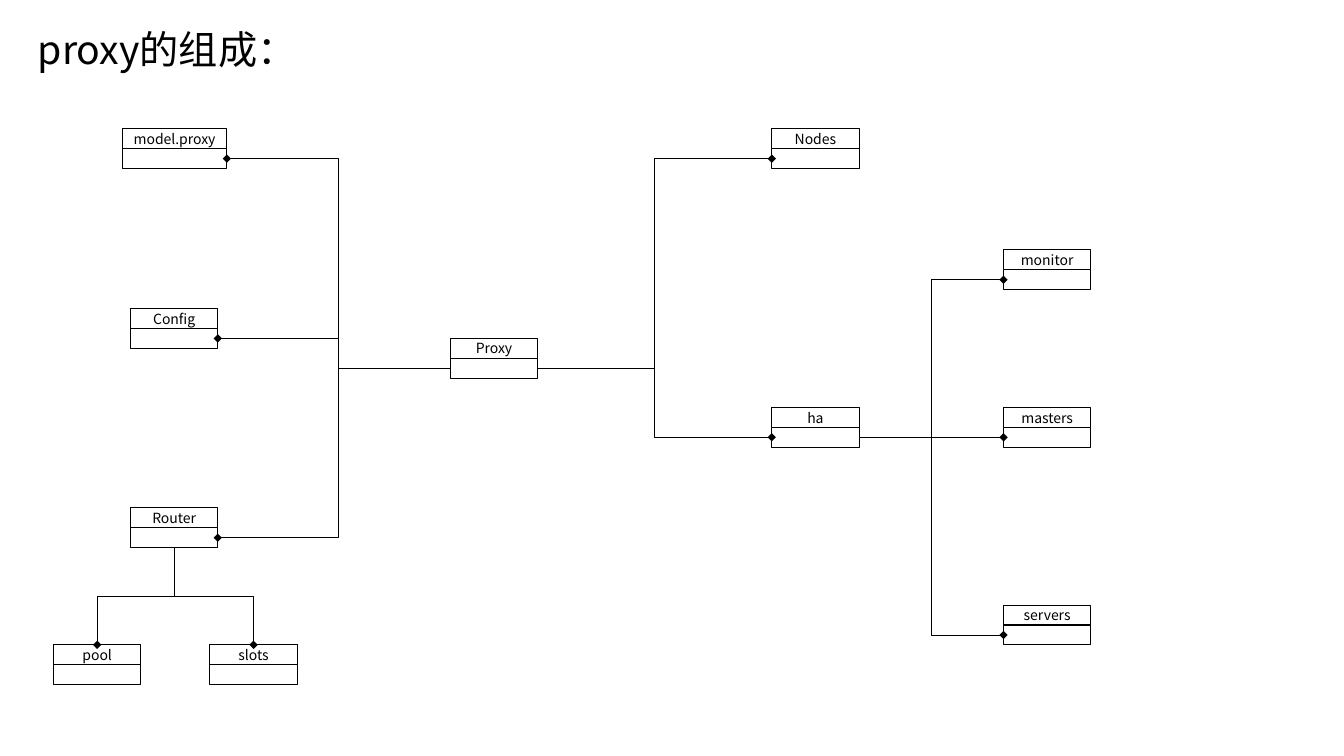
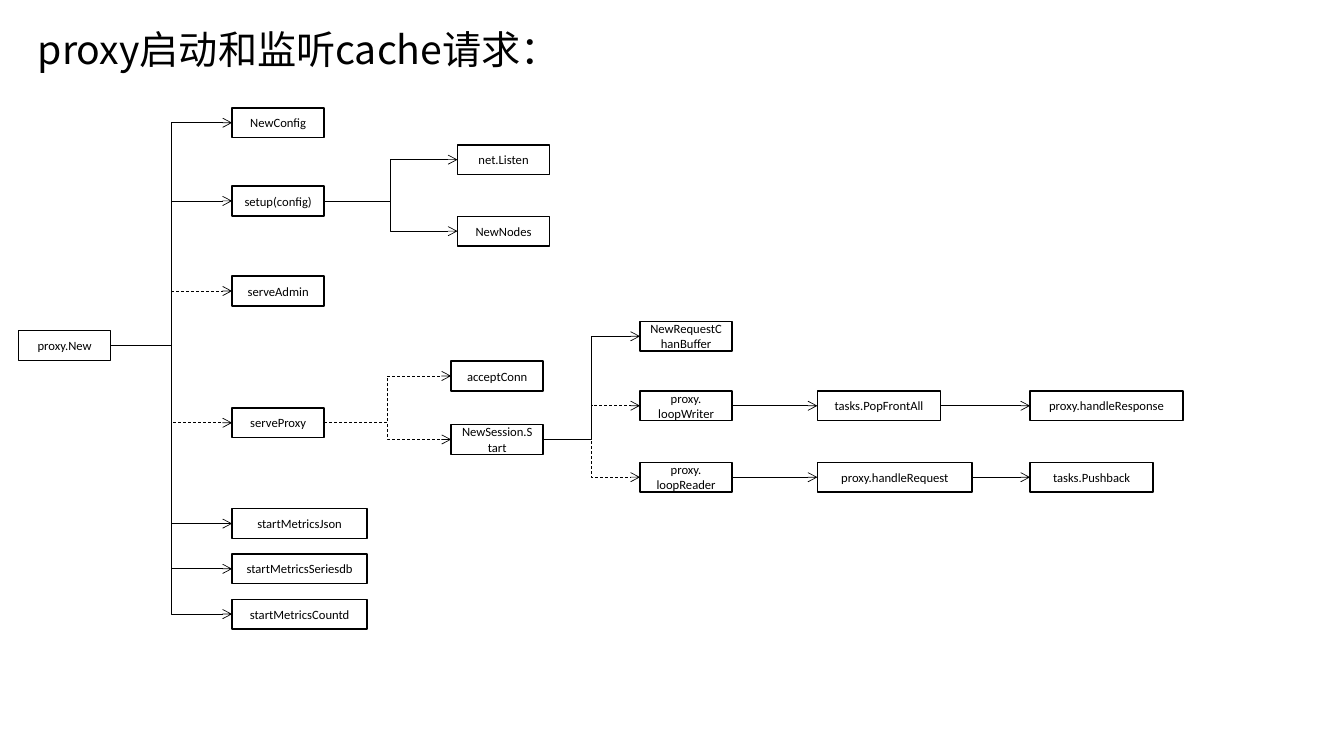
from pptx import Presentation
from pptx.dml.color import RGBColor
from pptx.enum.dml import MSO_LINE
from pptx.enum.shapes import MSO_CONNECTOR, MSO_SHAPE
from pptx.enum.text import MSO_ANCHOR, PP_ALIGN
from pptx.oxml.ns import qn
from pptx.util import Cm, Pt
from lxml.etree import SubElement

BLACK, WHITE = "000000", "FFFFFF"
CJK_FONT, LATIN_FONT = "Noto Sans CJK JP", "Calibri"
TOP, LEFT, BOTTOM, RIGHT = range(4)  # connection sites of a rectangle
ROW_HEIGHT, CLASS_WIDTH = 0.5, 2.2
STEP_HEIGHT, STEP_WIDTH = 0.75, 2.32


def color(value):
    return RGBColor.from_string(value)


def format_paragraph(para, font_name, size, alignment):
    para.alignment = alignment
    para.font.size = Pt(size)
    para.font.color.rgb = color(BLACK)
    para.font.name = font_name
    defaults = para._p.get_or_add_pPr().get_or_add_defRPr()
    SubElement(defaults, qn("a:ea")).set("typeface", font_name)


def add_page(deck, title, title_width):
    page = deck.slides.add_slide(deck.slide_layouts[5])
    box = page.shapes.title
    box.left, box.top, box.width, box.height = Cm(0.7), Cm(0.5), Cm(title_width), Cm(1.45)
    frame = box.text_frame
    frame.text = title
    frame.word_wrap = True
    frame.vertical_anchor = MSO_ANCHOR.TOP
    para = frame.paragraphs[0]
    para.line_spacing = 1
    format_paragraph(para, CJK_FONT, 28, PP_ALIGN.LEFT)
    return page


def add_box(shapes, left, top, width, height, line_width, text="", font_name=CJK_FONT, size=10):
    box = shapes.add_shape(MSO_SHAPE.RECTANGLE, Cm(left), Cm(top), Cm(width), Cm(height))
    box.shadow.inherit = False
    box.fill.solid()
    box.fill.fore_color.rgb = color(WHITE)
    box.line.color.rgb = color(BLACK)
    box.line.width = Pt(line_width)
    frame = box.text_frame
    frame.word_wrap = True
    frame.margin_top = frame.margin_bottom = 0
    frame.vertical_anchor = MSO_ANCHOR.MIDDLE
    if text:
        frame.text = text
        for para in frame.paragraphs:
            format_paragraph(para, font_name, size, PP_ALIGN.CENTER)
    return box


def turn_downward(link):
    """Make an elbow leave and arrive vertically."""
    goes_right = link.end_x > link.begin_x
    center_x, center_y = link.left + link.width // 2, link.top + link.height // 2
    width, height = link.height, link.width
    link.left, link.top = center_x - width // 2, center_y - height // 2
    link.width, link.height = width, height
    frame = link._element.spPr.find(qn("a:xfrm"))
    frame.attrib.pop("flipH", None)
    frame.set("rot", "16200000" if goes_right else "5400000")
    if goes_right:
        frame.set("flipH", "1")


def join(page, start, start_site, end, end_site, tip, dashed=False, bend=0.5):
    level = start.top + start.height // 2 == end.top + end.height // 2
    kind = MSO_CONNECTOR.STRAIGHT if level else MSO_CONNECTOR.ELBOW
    link = page.shapes.add_connector(kind, 0, 0, 0, 0)
    link.begin_connect(start, start_site)
    link.end_connect(end, end_site)
    if start_site == BOTTOM:
        turn_downward(link)
    properties = link._element.spPr
    if bend != 0.5:
        guide = SubElement(properties.find(qn("a:prstGeom")).find(qn("a:avLst")), qn("a:gd"))
        guide.set("name", "adj1")
        guide.set("fmla", f"val {round(bend * 100000)}")
    link.line.color.rgb = color(BLACK)
    link.line.width = Pt(0.5)
    if dashed:
        link.line.dash_style = MSO_LINE.DASH
    SubElement(properties.find(qn("a:ln")), qn("a:tailEnd")).set("type", tip)
    SubElement(properties, qn("a:effectLst"))


def add_class(page, name, left, top, width):
    """Class symbol: a name row above an empty body row."""
    group = page.shapes.add_group_shape()
    head = add_box(group.shapes, left, top, width, ROW_HEIGHT, 0.75, name)
    body = add_box(group.shapes, left, top + ROW_HEIGHT, width, ROW_HEIGHT, 0.75)
    return head, body


def draw_composition(page, left, top):
    # Classes: name, x, y within the diagram
    places = [
        ("Proxy", 10, 5.28),
        ("model.proxy", 1.73, 0), ("Config", 1.94, 4.53), ("Router", 1.94, 9.55),
        ("pool", 0, 13), ("slots", 3.94, 13),
        ("Nodes", 18.1, 0), ("ha", 18.1, 7.02),
        ("monitor", 23.94, 3.05), ("masters", 23.94, 7.02), ("servers", 23.94, 12),
    ]
    heads, bodies = {}, {}
    for name, x, y in places:
        width = 2.64 if name == "model.proxy" else CLASS_WIDTH
        heads[name], bodies[name] = add_class(page, name, left + x, top + y, width)

    # Ownership links
    for owner, parts in (("ha", ("monitor", "masters", "servers")), ("Proxy", ("Nodes", "ha"))):
        for part in parts:
            join(page, bodies[owner], RIGHT, bodies[part], LEFT, "diamond")
    for part, bend in (("model.proxy", 0.5), ("Config", 0.48), ("Router", 0.48)):
        join(page, bodies["Proxy"], LEFT, bodies[part], RIGHT, "diamond", bend=bend)
    for part in ("pool", "slots"):
        join(page, bodies["Router"], BOTTOM, heads[part], TOP, "diamond")


def draw_startup(page, left, top):
    # Columns of steps: x, then (text, y, width)
    columns = [
        (0, [("proxy.New", 5.61, STEP_WIDTH)]),
        (5.38, [("NewConfig", 0, STEP_WIDTH), ("setup(config)", 1.97, STEP_WIDTH),
                ("serveAdmin", 4.24, STEP_WIDTH), ("serveProxy", 7.56, STEP_WIDTH),
                ("startMetricsJson", 10.1, 3.4), ("startMetricsSeriesdb", 11.24, 3.4),
                ("startMetricsCountd", 12.38, 3.4)]),
        (11.06, [("net.Listen", 0.93, STEP_WIDTH), ("NewNodes", 2.73, STEP_WIDTH)]),
        (10.9, [("acceptConn", 6.38, STEP_WIDTH), ("NewSession.Start", 7.98, STEP_WIDTH)]),
        (15.66, [("NewRequestChanBuffer", 5.38, STEP_WIDTH),
                 ("proxy.\nloopWriter", 7.13, STEP_WIDTH),
                 ("proxy.\nloopReader", 8.93, STEP_WIDTH)]),
        (20.13, [("tasks.PopFrontAll", 7.13, 3.1), ("proxy.handleRequest", 8.93, 3.9)]),
        (25.49, [("proxy.handleResponse", 7.13, 3.85), ("tasks.Pushback", 8.93, 3.1)]),
    ]
    steps = {}
    for x, column in columns:
        for text, y, width in column:
            steps[text] = add_box(page.shapes, left + x, top + y, width, STEP_HEIGHT, 1,
                                  text, LATIN_FONT, 9)

    # Calls; the dashed ones run in the background
    calls = {
        "proxy.New": ["NewConfig", "setup(config)", "serveAdmin", "serveProxy",
                      "startMetricsJson", "startMetricsSeriesdb", "startMetricsCountd"],
        "setup(config)": ["net.Listen", "NewNodes"],
        "serveProxy": ["acceptConn", "NewSession.Start"],
        "NewSession.Start": ["NewRequestChanBuffer", "proxy.\nloopWriter", "proxy.\nloopReader"],
        "proxy.\nloopWriter": ["tasks.PopFrontAll"],
        "tasks.PopFrontAll": ["proxy.handleResponse"],
        "proxy.\nloopReader": ["proxy.handleRequest"],
        "proxy.handleRequest": ["tasks.Pushback"],
    }
    background = {"serveAdmin", "serveProxy", "acceptConn", "NewSession.Start",
                  "proxy.\nloopWriter", "proxy.\nloopReader"}
    for caller, targets in calls.items():
        for target in targets:
            join(page, steps[caller], RIGHT, steps[target], LEFT, "arrow", target in background)


def main():
    deck = Presentation()
    deck.slide_width, deck.slide_height = Cm(33.87), Cm(19.05)
    draw_composition(add_page(deck, "proxy的组成：", 14.1), 1.35, 3.25)
    draw_startup(add_page(deck, "proxy启动和监听cache请求：", 16.4), 0.47, 2.72)
    deck.save("out.pptx")


if __name__ == "__main__":
    main()
